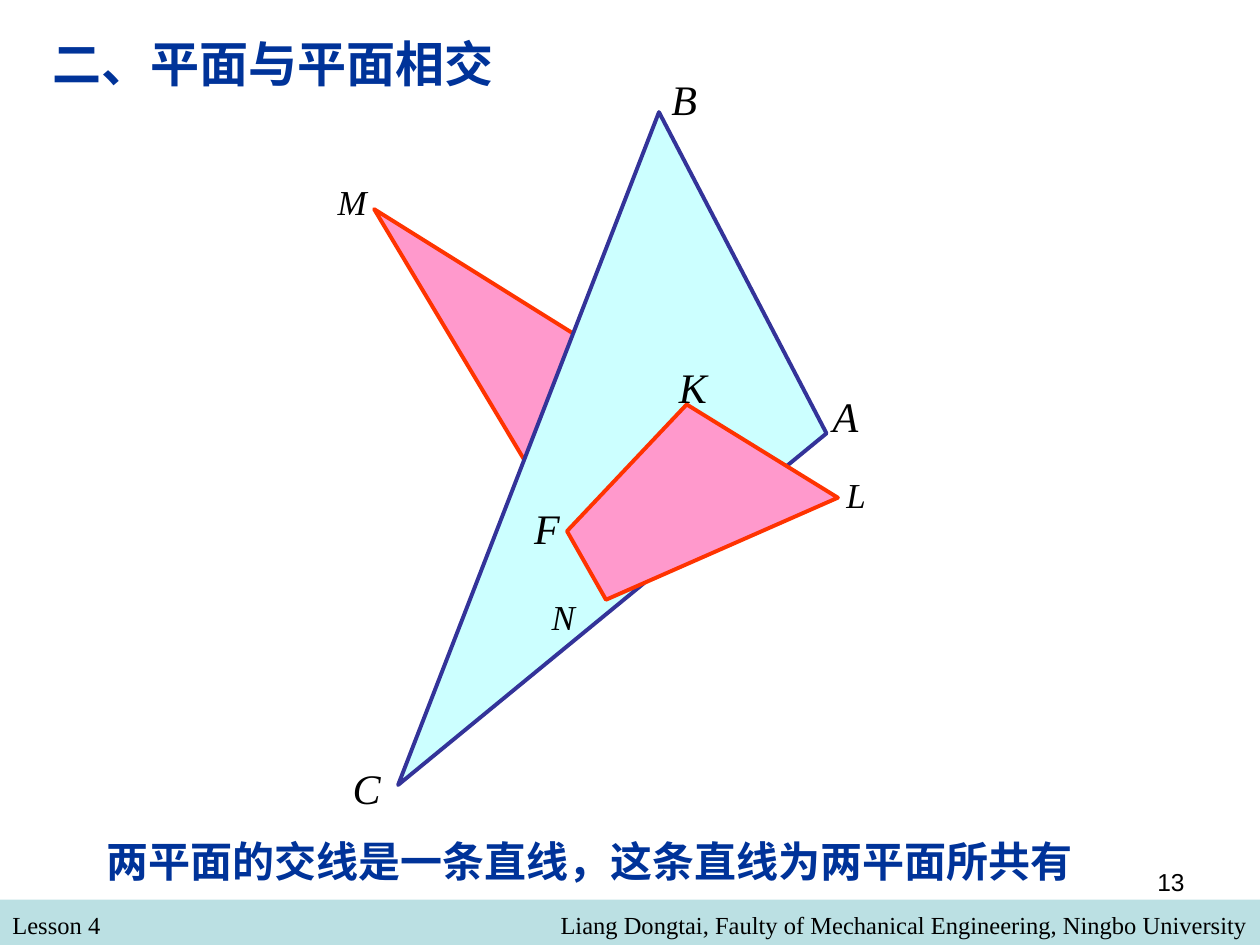
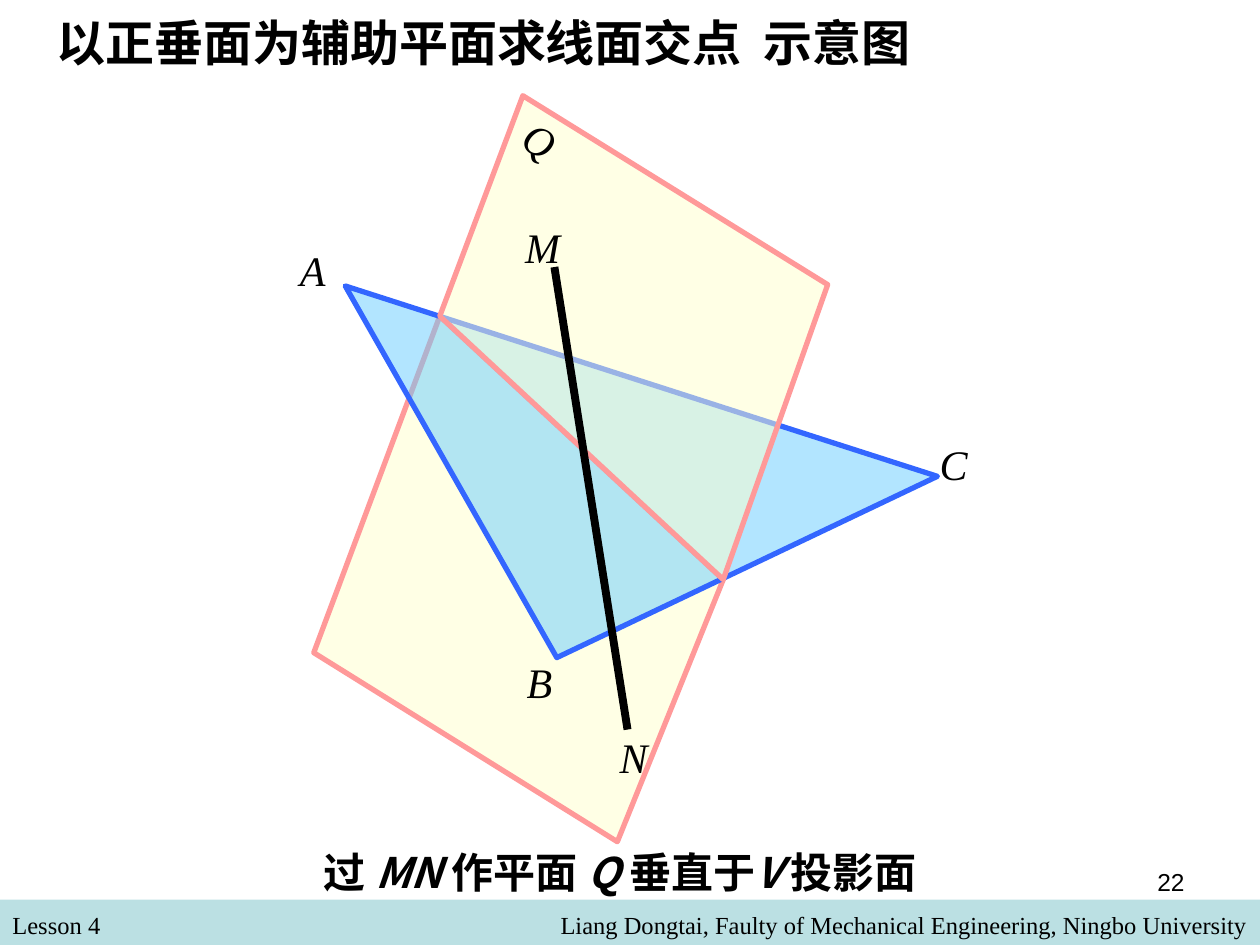
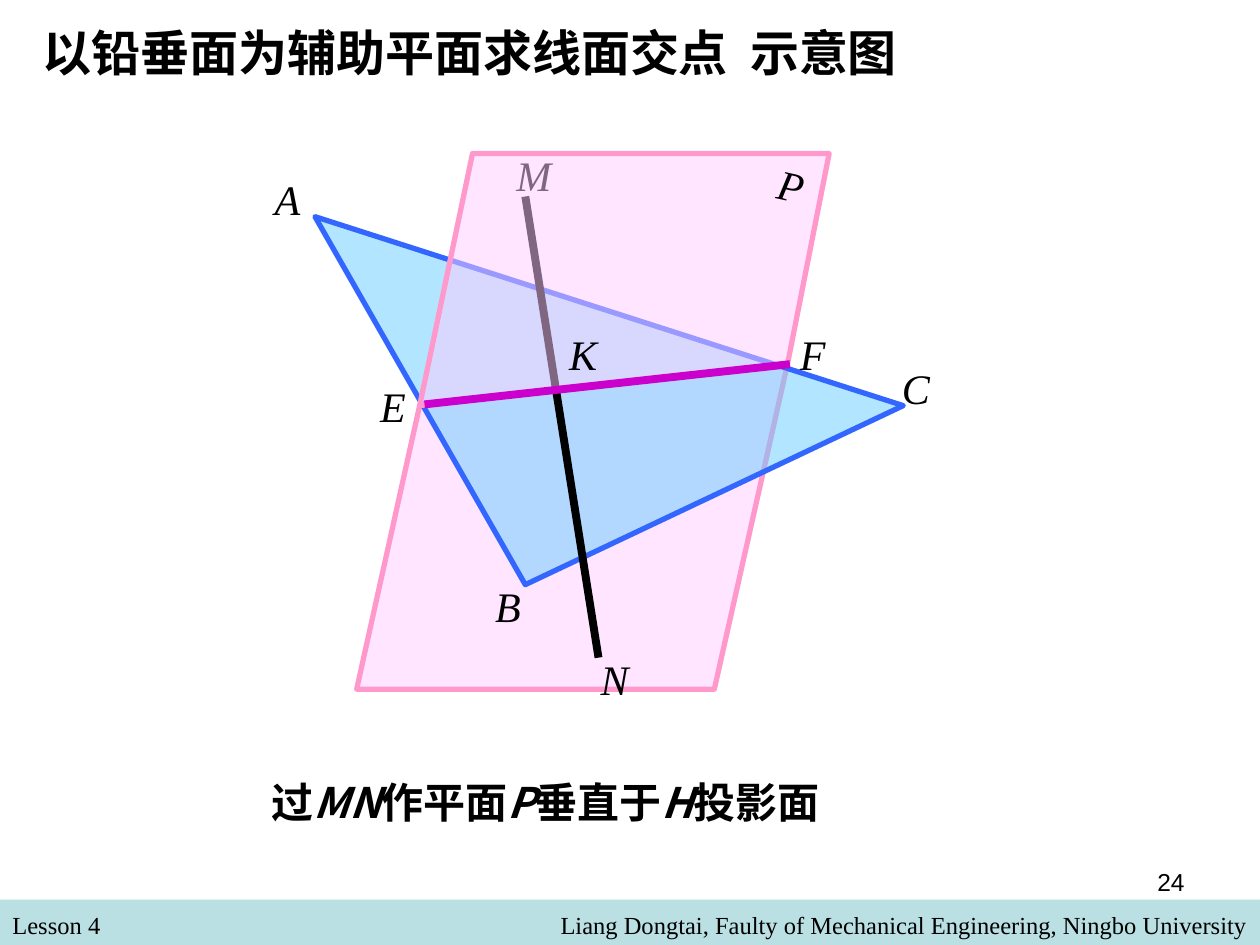
from dataclasses import dataclass

from lxml.etree import SubElement
from pptx import Presentation
from pptx.dml.color import RGBColor
from pptx.enum.shapes import MSO_CONNECTOR, MSO_SHAPE
from pptx.enum.text import MSO_ANCHOR, MSO_AUTO_SIZE, PP_ALIGN
from pptx.oxml.ns import qn
from pptx.util import Pt


@dataclass(frozen=True)
class Theme:
    """Colours, fonts and sizes in points shared by the slides."""
    ink: str = "000000"
    navy: str = "003399"
    band: str = "BBE0E3"
    cyan: str = "CCFFFF"
    indigo: str = "333399"
    pink: str = "FF99CC"
    red: str = "FF3300"
    cream: str = "FFFFCC"
    coral: str = "FF9999"
    sky: str = "66CCFF"
    blue: str = "3366FF"
    lilac: str = "FFCCFF"
    purple: str = "CC00CC"
    serif: str = "Times New Roman"
    sans: str = "Arial"
    han: str = "Noto Sans CJK SC"
    title: float = 28
    body: float = 24
    small: float = 20
    foot: float = 14
    thin: float = 2.25
    mid: float = 3
    thick: float = 4.5


THEME = Theme()


def color(code):
    """Turn a hex code into a colour."""
    return RGBColor.from_string(code)


def write(frame, parts, size, face, ink=THEME.ink, bold=False, italic=False,
          align=PP_ALIGN.LEFT):
    """Fill a frame with one paragraph; every second part is slanted."""
    frame.word_wrap = True
    frame.auto_size = MSO_AUTO_SIZE.NONE
    frame.vertical_anchor = MSO_ANCHOR.TOP
    para = frame.paragraphs[0]
    for index, part in enumerate(parts):
        run = para.add_run()
        run.text = part
        if len(parts) > 1:
            run.font.italic = index % 2 == 1
    para.alignment = align
    font = para.font
    font.name, font.size, font.bold = face, Pt(size), bold
    font.color.rgb = color(ink)
    if len(parts) == 1:
        font.italic = italic
    SubElement(para._p.pPr.find(qn("a:defRPr")), qn("a:ea"), typeface=THEME.han)


def text(slide, box, parts, size, face, **style):
    """Add a text box at left, top, width, height."""
    shape = slide.shapes.add_textbox(*map(Pt, box))
    write(shape.text_frame, parts, size, face, **style)
    return shape


class Figure:
    """Draws planes, lines and letters relative to a corner."""

    def __init__(self, slide, left, top):
        """Keep the slide and the corner."""
        self.slide, self.left, self.top = slide, left, top

    def spot(self, point):
        """Place a point of the figure on the slide."""
        return Pt(self.left + point[0]), Pt(self.top + point[1])

    def plane(self, points, fill, edge, width=THEME.mid, alpha=None):
        """Draw a closed outline."""
        first, *rest = map(self.spot, points)
        pen = self.slide.shapes.build_freeform(*first)
        pen.add_line_segments(rest, close=True)
        shape = pen.convert_to_shape()
        shape.shadow.inherit = False
        shape.fill.solid()
        shape.fill.fore_color.rgb = color(fill)
        shape.line.color.rgb = color(edge)
        shape.line.width = Pt(width)
        if alpha:
            tone = shape._element.spPr.find(qn("a:solidFill"))[0]
            SubElement(tone, qn("a:alpha"), val=str(alpha * 1000))

    def line(self, start, end, ink=THEME.ink):
        """Draw a thick straight line."""
        line = self.slide.shapes.add_connector(
            MSO_CONNECTOR.STRAIGHT, *self.spot(start), *self.spot(end))
        line.line.color.rgb = color(ink)
        line.line.width = Pt(THEME.thick)
        SubElement(line._element.spPr, qn("a:effectLst"))

    def letters(self, marks, width, size=THEME.body, turn=0):
        """Add slanted letters, each with its left and top."""
        for mark, (left, top) in marks.items():
            box = (self.left + left, self.top + top, width, size * 1.5)
            shape = text(self.slide, box, [mark], size, THEME.serif, italic=True)
            shape.rotation = turn


def footer(layout, slide):
    """Build the band and its texts and move them to the layout."""
    for holder in list(layout.placeholders)[1:]:
        holder._element.getparent().remove(holder._element)
    band = slide.shapes.add_shape(
        MSO_SHAPE.RECTANGLE, Pt(0), Pt(514), Pt(720), Pt(26))
    band.shadow.inherit = False
    band.fill.solid()
    band.fill.fore_color.rgb = color(THEME.band)
    band.line.fill.background()
    lesson = text(slide, (0, 516.2, 348, 24), ["Lesson 4"], THEME.foot, THEME.serif)
    credit = text(
        slide, (132, 516.2, 588, 24),
        ["Liang Dongtai, Faulty of Mechanical Engineering, Ningbo University"],
        THEME.foot, THEME.serif, align=PP_ALIGN.RIGHT)
    for shape in (band, lesson, credit):
        layout.shapes._spTree.append(shape._element)


def heading(slide, left, top, words, face=THEME.han, ink=THEME.ink):
    """Move and format the title."""
    title = slide.shapes.title
    title.left, title.top, title.width, title.height = map(Pt, (left, top, 640, 48))
    write(title.text_frame, [words], THEME.title, face, ink=ink, bold=True)


def number(slide, value):
    """Add the page number."""
    text(slide, (516, 492, 168, 37), [value], THEME.foot, THEME.sans,
         align=PP_ALIGN.RIGHT)


def crossing(slide, left, top):
    """Draw a triangle that passes through another one."""
    fig = Figure(slide, left, top)
    k, f = (212.4, 195.1), (144, 267.5)
    rose = (THEME.pink, THEME.red, THEME.thin)
    fig.plane([f, (33.8, 83.5), k], *rose)
    fig.plane([(292.3, 211.7), (47.5, 412.6), (196.6, 28.1)],
              THEME.cyan, THEME.indigo, THEME.thin)
    fig.plane([k, f, (166.3, 306.7), (298.8, 248.4)], *rose)
    fig.letters({"B": (196.6, 2.2), "C": (14.4, 396), "A": (288.7, 183.6)}, 65)
    fig.letters({"F": (118.1, 247.7), "K": (200.9, 167)}, 58)
    fig.letters({"M": (5.8, 63.4), "N": (128.2, 301), "L": (296.6, 231.1)},
                58, THEME.small)


def upright(slide, left, top):
    """Draw the plane Q through the line MN."""
    fig = Figure(slide, left, top)
    e, f = (89.3, 126.7), (251.3, 277.2)
    glass = dict(fill=THEME.cream, edge=THEME.coral, alpha=50)
    fig.plane([e, (17.3, 319), (190.8, 427), f], **glass)
    fig.plane([(35.3, 109.4), (373.7, 218.2), (156.2, 321.8)],
              THEME.sky, THEME.blue, alpha=50)
    fig.letters({"A": (2.2, 82.1)}, 46)
    fig.letters({"B": (131.8, 317.5), "C": (367.9, 193)}, 52)
    fig.plane([(136.8, 0.7), e, f, (311, 108.7)], **glass)
    fig.letters({"Q": (131, 7.2)}, 29, turn=27.1)
    fig.letters({"M": (131, 69.1), "N": (185, 360.7)}, 46)
    fig.line((154.8, 98.6), (196.6, 362.9))


def plumb(slide, left, top):
    """Draw the plane P, the line MN and their meeting point K."""
    fig = Figure(slide, left, top)
    e, f = (95.8, 151.8), (306, 128.1)
    glass = dict(fill=THEME.lilac, edge=THEME.pink, alpha=50)
    fig.plane([e, (59.8, 313.8), (264.2, 313.8), f], **glass)
    fig.letters({"A": (5.8, 15.8)}, 46)
    fig.letters({"B": (131.8, 248.3), "C": (364.3, 123.8)}, 52)
    fig.plane([(36, 43.8), (156.2, 254.1), (372.2, 151.8)],
              THEME.sky, THEME.blue, alpha=50)
    fig.line((156.2, 32.3), (198, 295.8))
    fig.letters({"M": (144, 2), "N": (192.2, 290)}, 46)
    fig.plane([(126, 7.8), e, f, (329.8, 7.8)], **glass)
    fig.letters({"P": (293.8, 7.8)}, 29, turn=12.6)
    fig.letters({"E": (66.2, 133.8), "F": (306, 104.3)}, 30)
    fig.line((98.6, 151.1), (307.4, 128.1), THEME.purple)
    fig.letters({"K": (174.2, 104.3)}, 35)


def main():
    """Build the three slides."""
    prs = Presentation()
    prs.slide_width, prs.slide_height = Pt(720), Pt(540)
    layout = prs.slide_layouts[5]
    first, second, third = [prs.slides.add_slide(layout) for _ in range(3)]
    footer(layout, first)
    for slide, page in ((first, "13"), (second, "22"), (third, "24")):
        number(slide, page)

    heading(first, 23, 15.8, "二、平面与平面相交", THEME.sans, THEME.navy)
    crossing(first, 180, 36)
    text(first, (54, 473.8, 588, 36),
         ["两平面的交线是一条直线，这条直线为两平面所共有"],
         THEME.body, THEME.serif, ink=THEME.navy, bold=True)

    heading(second, 25.2, 3.6, "以正垂面为辅助平面求线面交点  示意图")
    upright(second, 162, 54)
    text(second, (177.8, 480.2, 416, 36),
         ["过 ", "MN ", "作平面 ", "Q ", "垂直于", "V ", "投影面"],
         THEME.body, THEME.han, bold=True)

    heading(third, 17.3, 9.4, "以铅垂面为辅助平面求线面交点  示意图")
    plumb(third, 144, 80)
    text(third, (148.3, 440, 444, 36),
         ["过", "MN", "作平面", "P", "垂直于", "H", "投影面"],
         THEME.body, THEME.han, bold=True)

    prs.save("out.pptx")


if __name__ == "__main__":
    main()
